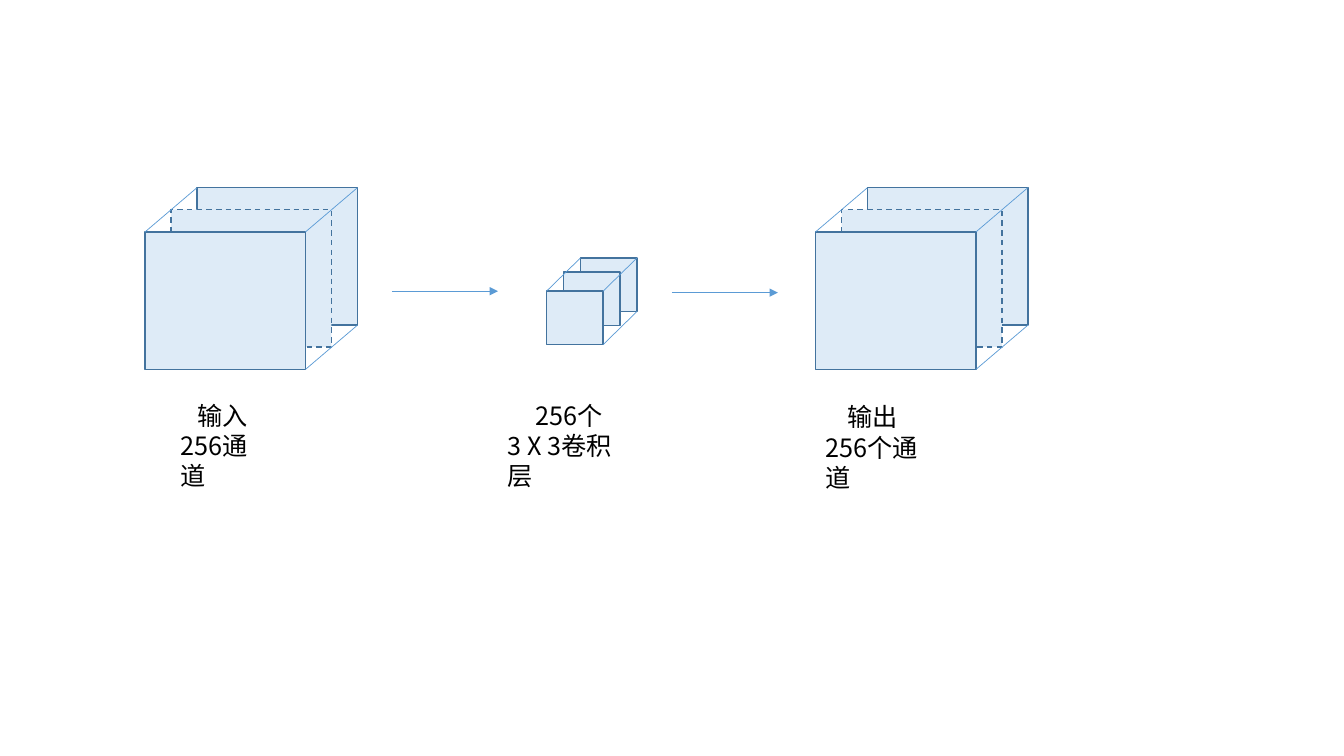
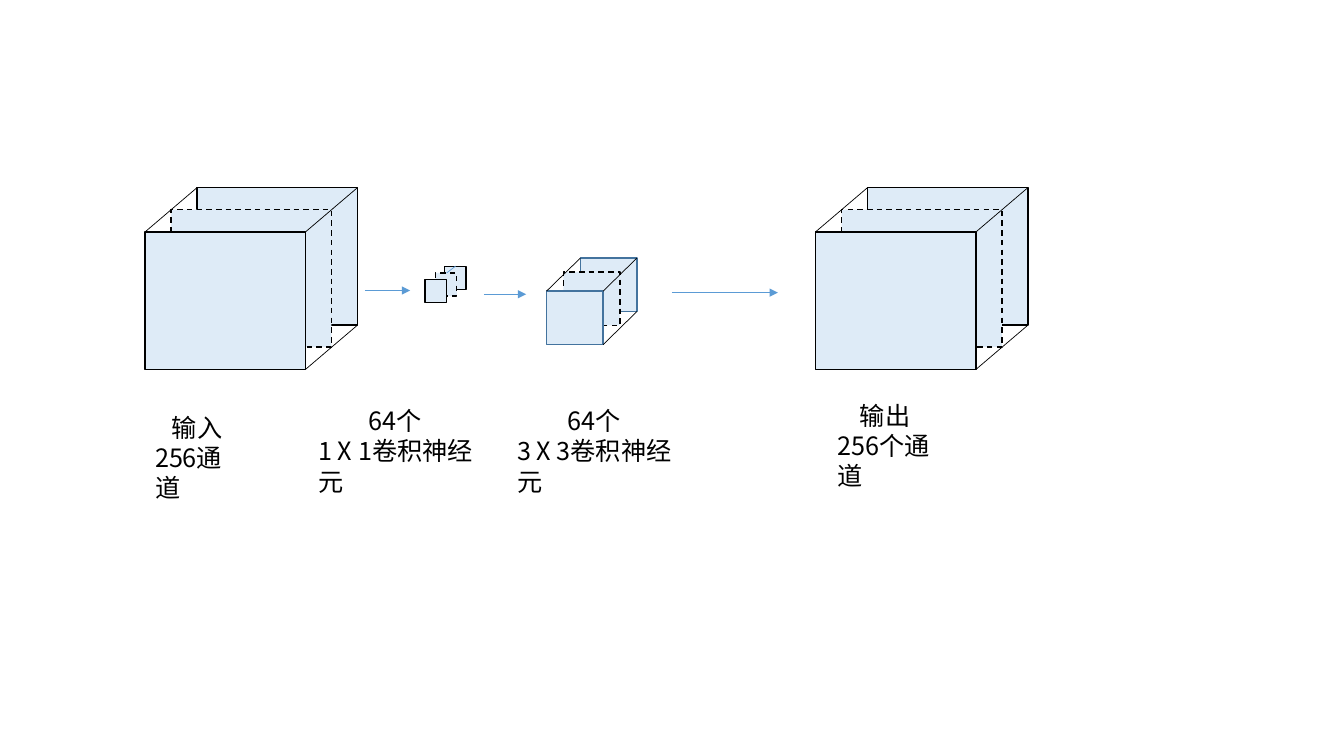
from collections import namedtuple

from lxml import etree
from pptx import Presentation
from pptx.dml.color import RGBColor
from pptx.enum.dml import MSO_LINE_DASH_STYLE as Dash
from pptx.enum.shapes import MSO_CONNECTOR as Connector, MSO_SHAPE as Shape
from pptx.enum.text import MSO_AUTO_SIZE as AutoSize
from pptx.oxml.ns import qn
from pptx.util import Pt

PALE_BLUE = RGBColor(0xDE, 0xEB, 0xF7)
STEEL = RGBColor(0x43, 0x73, 0x9E)
SKY = RGBColor(0x5B, 0x9B, 0xD5)
BLACK = RGBColor(0, 0, 0)
FONT = "Noto Sans CJK SC"

Box = namedtuple("Box", "left top width height")
Depth = namedtuple("Depth", "back middle")

FEATURE_DEPTH = Depth((37.1, 31.6), (18.6, 16))
KERNEL_DEPTH = Depth((24.2, 23.7), (12.1, 13.7))
POINT_DEPTH = Depth((13.9, 9.3), (7.4, 4.6))

INPUT_MAPS = Box(103.6, 165.7, 114.6, 98.2)
OUTPUT_MAPS = INPUT_MAPS._replace(left=582.5)
KERNELS = Box(390.4, 208, 40.4, 38.2)
POINT_KERNELS = Box(303.5, 199.6, 15.4, 16.6)

LABEL_HEIGHT = 51
INPUT_WIDTH, KERNEL_WIDTH, OUTPUT_WIDTH, NEURON_WIDTH = 78, 106, 96, 142


def put_text(slide, box, lines, size=18, color=BLACK, first_indent=0, spacing=21.6):
    text_box = slide.shapes.add_textbox(*map(Pt, box))
    frame = text_box.text_frame
    frame.word_wrap = True
    frame.auto_size = AutoSize.SHAPE_TO_FIT_TEXT
    for index, line in enumerate(lines):
        paragraph = frame.paragraphs[0] if index == 0 else frame.add_paragraph()
        paragraph.line_spacing = Pt(spacing)
        if index == 0:
            properties = paragraph._p.get_or_add_pPr()
            properties.set("marL", "0")
            properties.set("indent", str(Pt(first_indent)))
        run = paragraph.add_run()
        run.text = line
        run.font.name = FONT
        run.font.size = Pt(size)
        run.font.color.rgb = color
        east_asian = etree.SubElement(run._r.get_or_add_rPr(), qn("a:ea"))
        east_asian.set("typeface", FONT)


def put_line(slide, start, end, color=SKY, arrow=False):
    line = slide.shapes.add_connector(Connector.STRAIGHT, *map(Pt, (*start, *end)))
    line.line.color.rgb = color
    line.line.width = Pt(0.5)
    if arrow:
        head = etree.SubElement(line.line._get_or_add_ln(), qn("a:tailEnd"))
        head.set("type", "triangle")
    etree.SubElement(line._element.spPr, qn("a:effectLst"))


def put_arrow(slide, left, right, y):
    put_line(slide, (left, y), (right, y), arrow=True)


def put_sheet(slide, box, color, dashed=False):
    sheet = slide.shapes.add_shape(Shape.RECTANGLE, *map(Pt, box))
    sheet.shadow.inherit = False
    sheet.fill.solid()
    sheet.fill.fore_color.rgb = PALE_BLUE
    sheet.line.color.rgb = color
    sheet.line.width = Pt(1)
    if dashed:
        sheet.line.dash_style = Dash.DASH


def put_volume(slide, front, depth, outline=STEEL, middle=None, dashed=True, edge=SKY):
    def shifted(offset):
        return front._replace(left=front.left + offset[0], top=front.top - offset[1])

    put_sheet(slide, shifted(depth.back), outline)
    put_sheet(slide, shifted(depth.middle), middle or outline, dashed)
    put_sheet(slide, front, outline)
    if edge is None:
        return
    dx, dy = depth.back
    right, bottom = front.left + front.width, front.top + front.height
    for x, y in ((front.left, front.top), (right, front.top), (right, bottom)):
        put_line(slide, (x + dx, y - dy), (x, y), edge)


def put_label(slide, left, top, width, lines, first_indent):
    put_text(slide, Box(left, top, width, LABEL_HEIGHT), lines, first_indent=first_indent)


def build_plain_convolution(slide):
    put_volume(slide, INPUT_MAPS, FEATURE_DEPTH)
    put_volume(slide, KERNELS, KERNEL_DEPTH, dashed=False)
    put_volume(slide, OUTPUT_MAPS, FEATURE_DEPTH)
    put_arrow(slide, 280, 355.7, 208)
    put_arrow(slide, 480, 555.7, 209)
    put_label(slide, 122.2, 282.3, INPUT_WIDTH, ("输入", "256通道"), 12)
    put_label(slide, 355.5, 282.3, KERNEL_WIDTH, ("256个", "3 X 3卷积层"), 20)
    put_label(slide, 582.5, 283.3, OUTPUT_WIDTH, ("输出", "256个通道"), 16)


def build_bottleneck(slide):
    put_volume(slide, INPUT_MAPS, FEATURE_DEPTH, outline=BLACK, edge=BLACK)
    put_volume(slide, POINT_KERNELS, POINT_DEPTH, outline=BLACK, edge=None)
    put_line(slide, (319, 195), (325.4, 190.1))
    put_volume(slide, KERNELS, KERNEL_DEPTH, middle=BLACK, edge=BLACK)
    put_volume(slide, OUTPUT_MAPS, FEATURE_DEPTH, outline=BLACK, edge=BLACK)
    put_arrow(slide, 260.6, 293, 207.5)
    put_arrow(slide, 345.6, 375.8, 210.2)
    put_arrow(slide, 480, 555.7, 209)
    put_label(slide, 103.7, 290.7, INPUT_WIDTH, ("输入", "256通道"), 12)
    put_label(slide, 220.3, 286, NEURON_WIDTH, ("64个", "1 X 1卷积神经元"), 36)
    put_label(slide, 362.2, 286, NEURON_WIDTH, ("64个", "3 X 3卷积神经元"), 36)
    put_label(slide, 591.1, 282.3, OUTPUT_WIDTH, ("输出", "256个通道"), 16)


def main():
    deck = Presentation()
    deck.slide_width, deck.slide_height = Pt(960), Pt(540)
    for build in (build_plain_convolution, build_bottleneck):
        build(deck.slides.add_slide(deck.slide_layouts[6]))
    deck.save("out.pptx")


if __name__ == "__main__":
    main()
